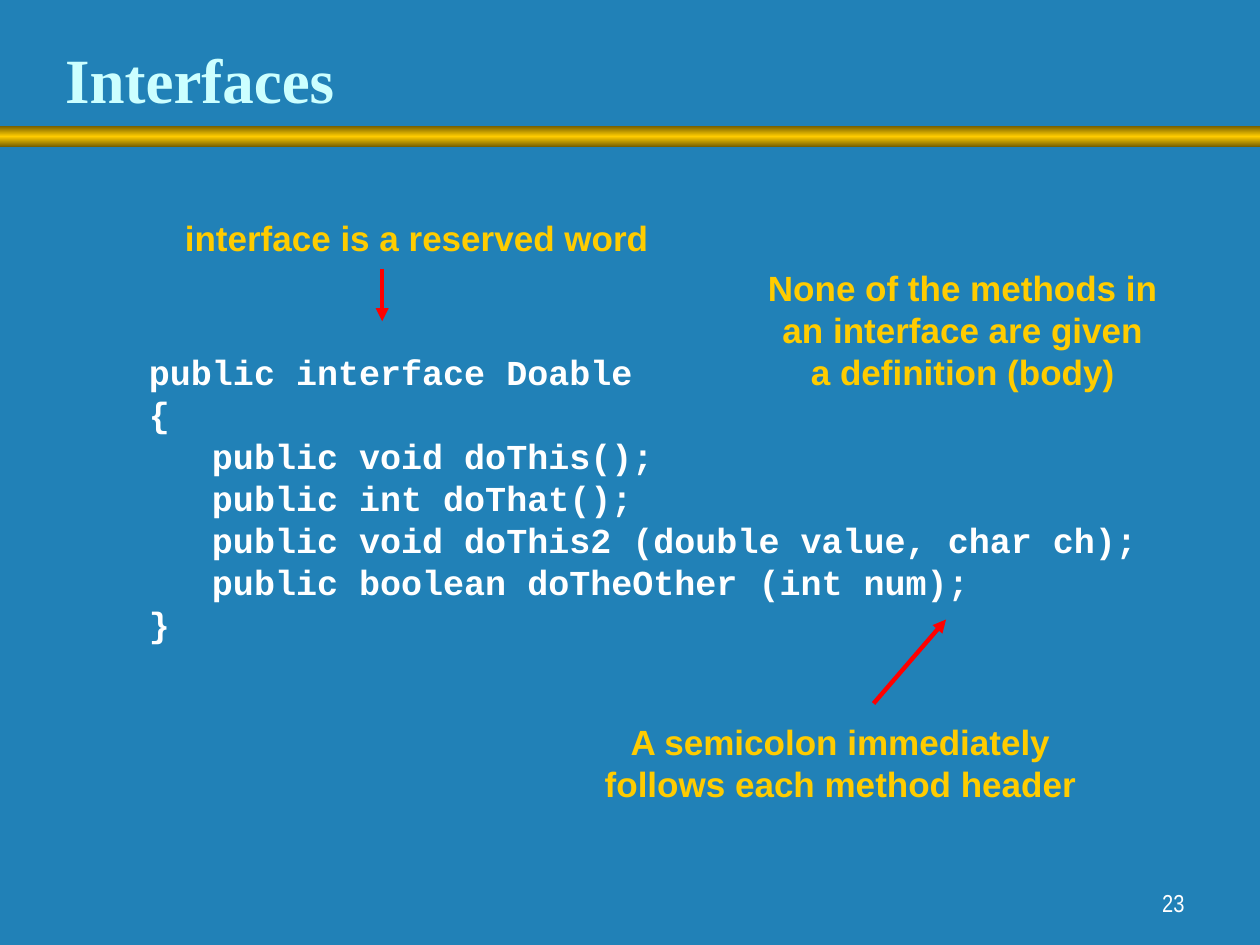
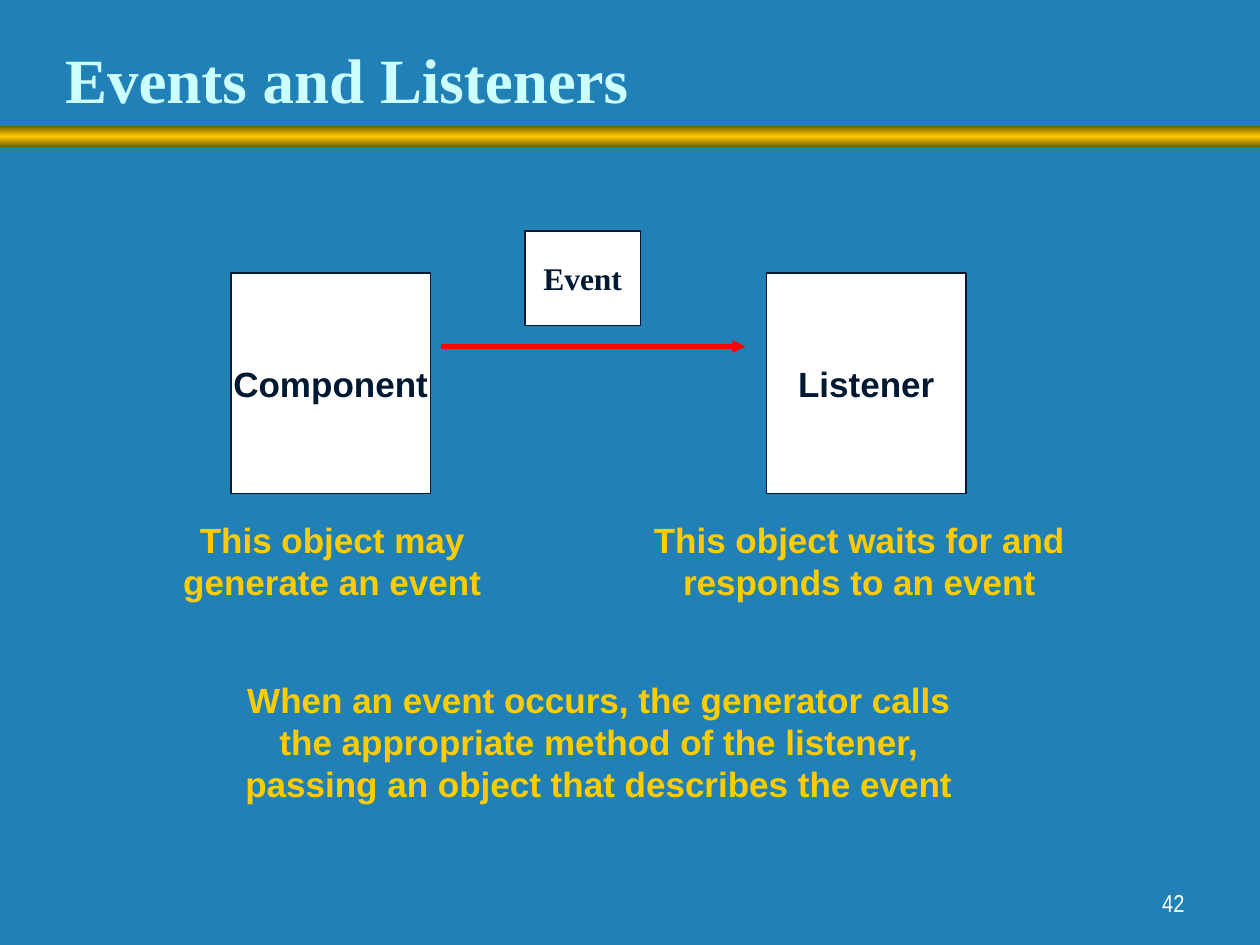
import copy
from dataclasses import dataclass

import lxml.etree
import pptx
import pptx.dml.color
import pptx.enum.shapes
import pptx.enum.text
import pptx.oxml.ns
import pptx.util

COLORS = {
    "background": "2181B7",
    "title": "CCFFFF",
    "gold": "FFCC00",
    "bronze": "755E00",
    "white": "FFFFFF",
    "navy": "001932",
    "red": "FF0000",
}
SLIDE_WIDTH = pptx.util.Inches(10)
SLIDE_HEIGHT = pptx.util.Inches(7.5)
COLUMNS, ROWS = 120, 90
ALIGN = pptx.enum.text.PP_ALIGN
ANCHOR = pptx.enum.text.MSO_ANCHOR
SHAPE = pptx.enum.shapes.MSO_SHAPE


@dataclass
class Box:
    column: float
    row: float
    columns: float
    rows: float

    def inside(self, column, row, columns, rows):
        return Box(self.column + column, self.row + row, columns, rows)

    def point(self, column, row):
        return across(self.column + column), down(self.row + row)

    def frame(self):
        return across(self.column), down(self.row), across(self.columns), down(self.rows)


@dataclass
class Style:
    font: str
    size: float
    color: str
    align: ALIGN = ALIGN.CENTER
    bold: bool = True


TITLE = Style("Times New Roman", 36, "title", ALIGN.LEFT)
CODE = Style("Courier New", 20, "white", ALIGN.LEFT)
NOTE = Style("Arial", 20, "gold")
OBJECT = Style("Arial", 20, "navy")
EVENT = Style("Times New Roman", 18, "navy")
NUMBER = Style("Arial Narrow", 14, "white", ALIGN.RIGHT, False)

TITLE_BOX = Box(5, 2.64, 102.6, 9)
BAND_BOX = Box(0, 12, COLUMNS, 2)
BODY_BOX = Box(12, 20, 96, 60)
NUMBER_BOX = Box(89, 82, 25, 6)


def across(columns):
    return round(SLIDE_WIDTH * columns / COLUMNS)


def down(rows):
    return round(SLIDE_HEIGHT * rows / ROWS)


def rgb(name):
    return pptx.dml.color.RGBColor.from_string(COLORS[name])


def write(shape, lines, style, anchor=ANCHOR.MIDDLE, wrap=False):
    frame = shape.text_frame
    frame.auto_size = pptx.enum.text.MSO_AUTO_SIZE.NONE
    frame.word_wrap = wrap
    frame.vertical_anchor = anchor
    for index, line in enumerate(lines):
        paragraph = frame.add_paragraph() if index else frame.paragraphs[0]
        paragraph.alignment = style.align
        run = paragraph.add_run()
        run.text = line
        run.font.name = style.font
        run.font.size = pptx.util.Pt(style.size)
        run.font.bold = style.bold
        run.font.color.rgb = rgb(style.color)


def add_text(slide, box, lines, style, **layout):
    write(slide.shapes.add_textbox(*box.frame()), lines, style, **layout)


def add_panel(slide, box, label, style):
    panel = slide.shapes.add_shape(SHAPE.FLOWCHART_PROCESS, *box.frame())
    panel.shadow.inherit = False
    panel.fill.solid()
    panel.fill.fore_color.rgb = rgb("white")
    panel.line.color.rgb = rgb("navy")
    panel.line.width = pptx.util.Pt(1)
    write(panel, [label], style)


def add_arrow(slide, start, end):
    arrow = slide.shapes.add_connector(
        pptx.enum.shapes.MSO_CONNECTOR.STRAIGHT, *start, *end)
    arrow.line.color.rgb = rgb("red")
    arrow.line.width = pptx.util.Pt(2.5)
    qualified = pptx.oxml.ns.qn
    properties = arrow._element.spPr
    outline = properties.find(qualified("a:ln"))
    lxml.etree.SubElement(outline, qualified("a:tailEnd"), type="triangle")
    lxml.etree.SubElement(properties, qualified("a:effectLst"))


def add_band(slide, box):
    band = slide.shapes.add_shape(SHAPE.RECTANGLE, *box.frame())
    band.shadow.inherit = False
    band.line.fill.background()
    band.fill.gradient()
    band.fill.gradient_angle = 270
    stop_list = band._element.spPr.find(".//" + pptx.oxml.ns.qn("a:gsLst"))
    stop_list.append(copy.deepcopy(stop_list[-1]))
    colors = ("bronze", "gold", "bronze")
    for index, (stop, color) in enumerate(zip(band.fill.gradient_stops, colors)):
        stop.position = index / 2
        stop.color.rgb = rgb(color)


def add_slide(presentation, title, number, build_body):
    slide = presentation.slides.add_slide(presentation.slide_layouts[5])
    heading = slide.shapes.title
    heading.left, heading.top, heading.width, heading.height = TITLE_BOX.frame()
    add_band(slide, BAND_BOX)
    write(heading, [title], TITLE, ANCHOR.BOTTOM, True)
    build_body(slide, BODY_BOX)
    add_text(slide, NUMBER_BOX, [str(number)], NUMBER, anchor=ANCHOR.BOTTOM, wrap=True)


def annotated_interface(slide, box):
    add_text(slide, box.inside(1, 12.8, 96.6, 29.2), [
        "public interface Doable",
        "{",
        "   public void doThis();",
        "   public int doThat();",
        "   public void doThis2 (double value, char ch);",
        "   public boolean doTheOther (int num);",
        "}",
    ], CODE)
    add_text(slide, box.inside(4.4, 0, 46.6, 5.3), ["interface is a reserved word"], NOTE)
    add_arrow(slide, box.point(24.4, 5.6), box.point(24.4, 10.6))
    add_text(slide, box.inside(60, 4.8, 39.4, 13.2), [
        "None of the methods in",
        "an interface are given",
        "a definition (body)",
    ], NOTE)
    add_text(slide, box.inside(44.4, 48, 47.3, 9.3), [
        "A semicolon immediately",
        "follows each method header",
    ], NOTE)
    add_arrow(slide, box.point(71.2, 47), box.point(78.1, 39))


def participant(slide, box, name, note_offset, note_columns, note):
    add_panel(slide, box, name, OBJECT)
    add_text(slide, box.inside(note_offset, box.rows + 1.7, note_columns, 9.3), note, NOTE)


def event_flow(slide, box):
    participant(slide, box.inside(10, 6, 19, 21), "Component", -5.7, 30.7,
                ["This object may", "generate an event"])
    participant(slide, box.inside(61, 6, 19, 21), "Listener", -11.9, 41.5,
                ["This object waits for and", "responds to an event"])
    add_arrow(slide, box.point(30, 13), box.point(59, 13))
    add_panel(slide, box.inside(38, 2, 11, 9), "Event", EVENT)
    add_text(slide, box.inside(10.2, 44, 69.7, 13.2), [
        "When an event occurs, the generator calls",
        "the appropriate method of the listener,",
        "passing an object that describes the event",
    ], NOTE)


def main():
    presentation = pptx.Presentation()
    presentation.slide_width = SLIDE_WIDTH
    presentation.slide_height = SLIDE_HEIGHT
    background = presentation.slide_master.background.fill
    background.solid()
    background.fore_color.rgb = rgb("background")
    add_slide(presentation, "Interfaces", 23, annotated_interface)
    add_slide(presentation, "Events and Listeners", 42, event_flow)
    presentation.save("out.pptx")


if __name__ == "__main__":
    main()
